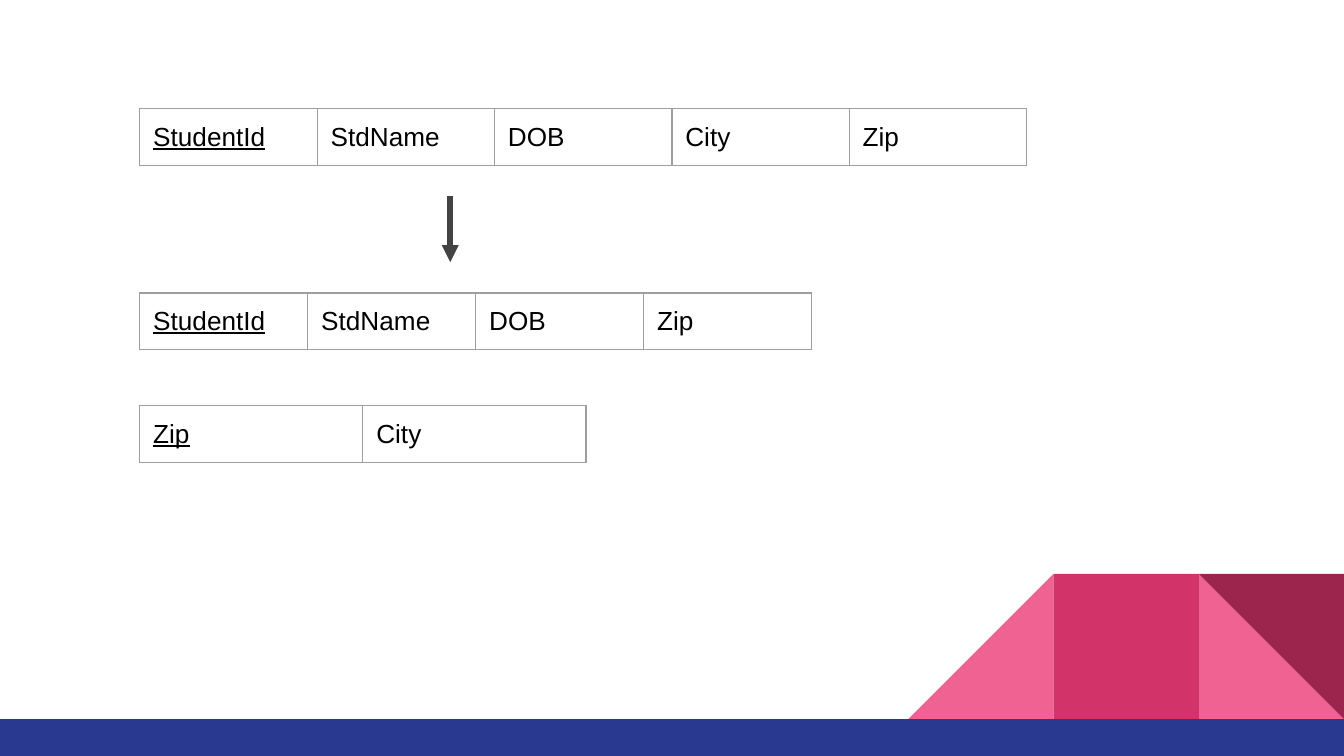
import dataclasses

import pptx
import pptx.dml.color
import pptx.enum.shapes
import pptx.oxml
import pptx.oxml.ns
import pptx.util
from pptx.dml.color import RGBColor
from pptx.util import Inches

PINK = RGBColor(0xF0, 0x62, 0x92)
ROSE = RGBColor(0xD2, 0x33, 0x69)
WINE = RGBColor(0x9C, 0x25, 0x4D)
NAVY = RGBColor(0x2A, 0x39, 0x90)
BLACK = RGBColor(0x00, 0x00, 0x00)
SLATE = RGBColor(0x43, 0x43, 0x43)
GREY = RGBColor(0x9E, 0x9E, 0x9E)

KIND = pptx.enum.shapes.MSO_SHAPE
WIDE = 10
TALL = WIDE * 9 / 16
SIDE = 1.08
TOP = 4.27
BASE = TOP + SIDE
LEFT = 1.04
HIGH = 0.42
FONT = {"name": "Arial", "size": pptx.util.Pt(14)}
INSET = {f"margin_{side}": Inches(0.1) for side in ("left", "right", "top", "bottom")}
PLAIN = {"first_row": False, "horz_banding": False}


@dataclasses.dataclass
class Block:
    kind: int
    left: float
    top: float
    width: float
    height: float
    fill: RGBColor
    turn: int = 0
    flip: bool = False


@dataclasses.dataclass
class Schema:
    top: float
    width: float
    names: tuple[str, ...]


BLOCKS = (
    Block(KIND.RIGHT_TRIANGLE, WIDE - SIDE, TOP, SIDE, SIDE, PINK),
    Block(KIND.RIGHT_TRIANGLE, WIDE - 3 * SIDE, TOP, SIDE, SIDE, PINK, flip=True),
    Block(KIND.RECTANGLE, WIDE - 2 * SIDE, TOP, SIDE, SIDE, ROSE),
    Block(KIND.RIGHT_TRIANGLE, WIDE - SIDE, TOP, SIDE, SIDE, WINE, turn=180),
    Block(KIND.RECTANGLE, 0, BASE, WIDE, TALL - BASE, NAVY),
)
SCHEMAS = (
    Schema(0.81, 1.32, ("StudentId", "StdName", "DOB", "City", "Zip")),
    Schema(2.18, 1.25, ("StudentId", "StdName", "DOB", "Zip")),
    Schema(3.02, 1.66, ("Zip", "City")),
)


def apply(target: object, values: dict) -> None:
    for name, value in values.items():
        setattr(target, name, value)


def node(text: str):
    space = pptx.oxml.ns.nsdecls("a")
    return pptx.oxml.parse_xml(text.replace("NS", space, 1))


def draw_block(slide, block: Block) -> None:
    box = map(Inches, (block.left, block.top, block.width, block.height))
    shape = slide.shapes.add_shape(block.kind, *box)
    shape.shadow.inherit = False
    shape.fill.solid()
    shape.fill.fore_color.rgb = block.fill
    shape.line.fill.background()
    shape.rotation = block.turn
    if block.flip:
        shape.element.spPr.xfrm.set("flipH", "1")


def edge_cell(cell) -> None:
    props = cell._tc.get_or_add_tcPr()
    for spot, side in enumerate("LRTB"):
        props.insert(spot, node(
            f'<a:ln{side} NS w="9525"><a:solidFill><a:srgbClr val="{GREY}"/>'
            f'</a:solidFill><a:prstDash val="solid"/></a:ln{side}>'
        ))


def draw_table(slide, schema: Schema) -> None:
    count = len(schema.names)
    box = map(Inches, (LEFT, schema.top, schema.width * count, HIGH))
    table = slide.shapes.add_table(1, count, *box).table
    apply(table, PLAIN)
    for spot, name in enumerate(schema.names):
        table.columns[spot].width = Inches(schema.width)
        cell = table.cell(0, spot)
        apply(cell, INSET)
        cell.fill.background()
        edge_cell(cell)
        run = cell.text_frame.paragraphs[0].add_run()
        run.text = name
        apply(run.font, FONT | {"underline": spot == 0})
        run.font.color.rgb = BLACK


def draw_arrow(slide, left: float, top: float, end: float) -> None:
    ends = map(Inches, (left, top, left, end))
    arrow = slide.shapes.add_connector(pptx.enum.shapes.MSO_CONNECTOR.STRAIGHT, *ends)
    arrow.line.color.rgb = SLATE
    arrow.line.width = pptx.util.Pt(3)
    arrow.line._get_or_add_ln().append(node('<a:tailEnd NS type="triangle"/>'))
    arrow._element.spPr.append(node("<a:effectLst NS/>"))


def main() -> None:
    deck = pptx.Presentation()
    apply(deck, {"slide_width": Inches(WIDE), "slide_height": Inches(TALL)})
    slide = deck.slides.add_slide(deck.slide_layouts[6])
    for block in BLOCKS:
        draw_block(slide, block)
    for schema in SCHEMAS:
        draw_table(slide, schema)
    draw_arrow(slide, 3.35, 1.46, 1.95)
    deck.save("out.pptx")


if __name__ == "__main__":
    main()
